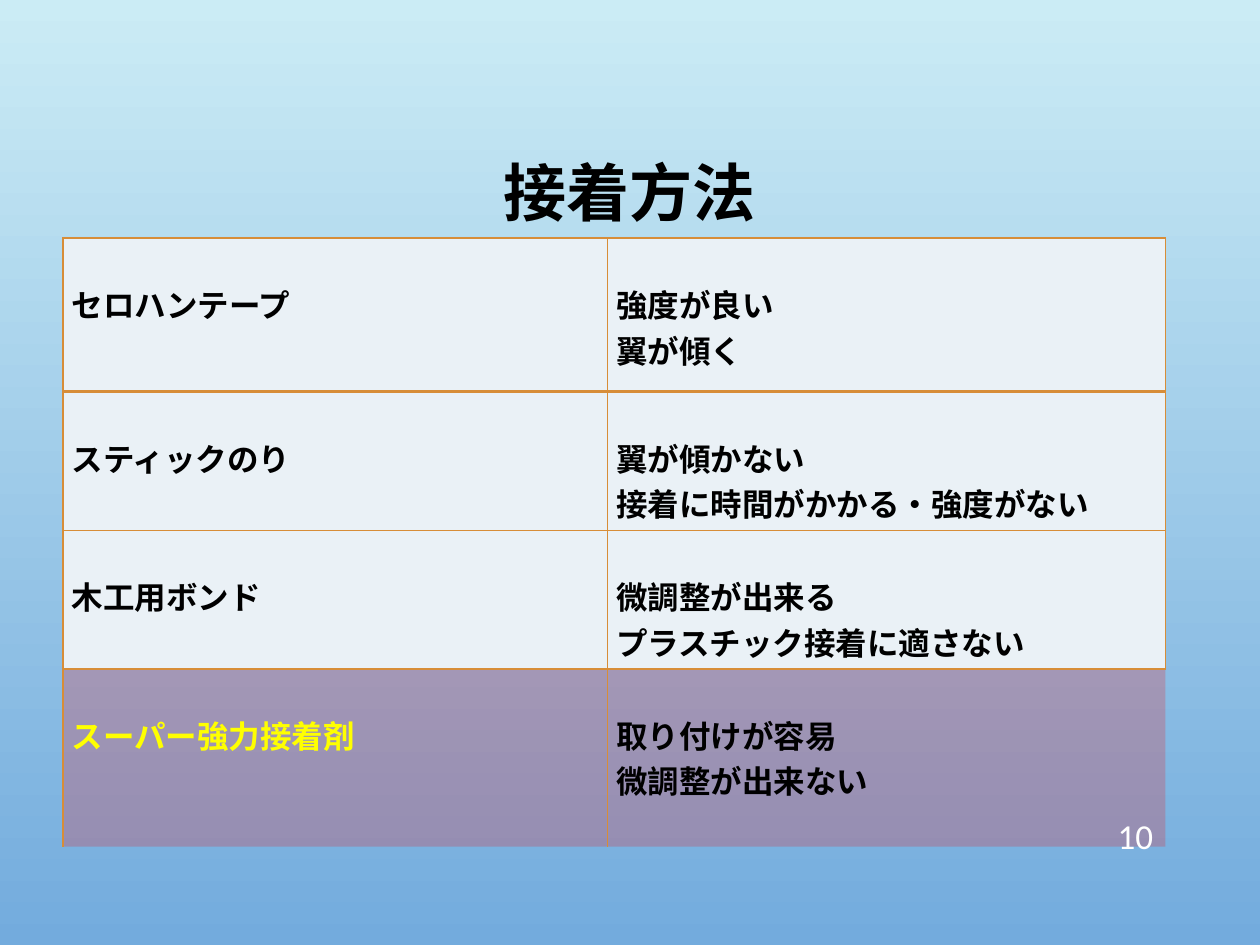
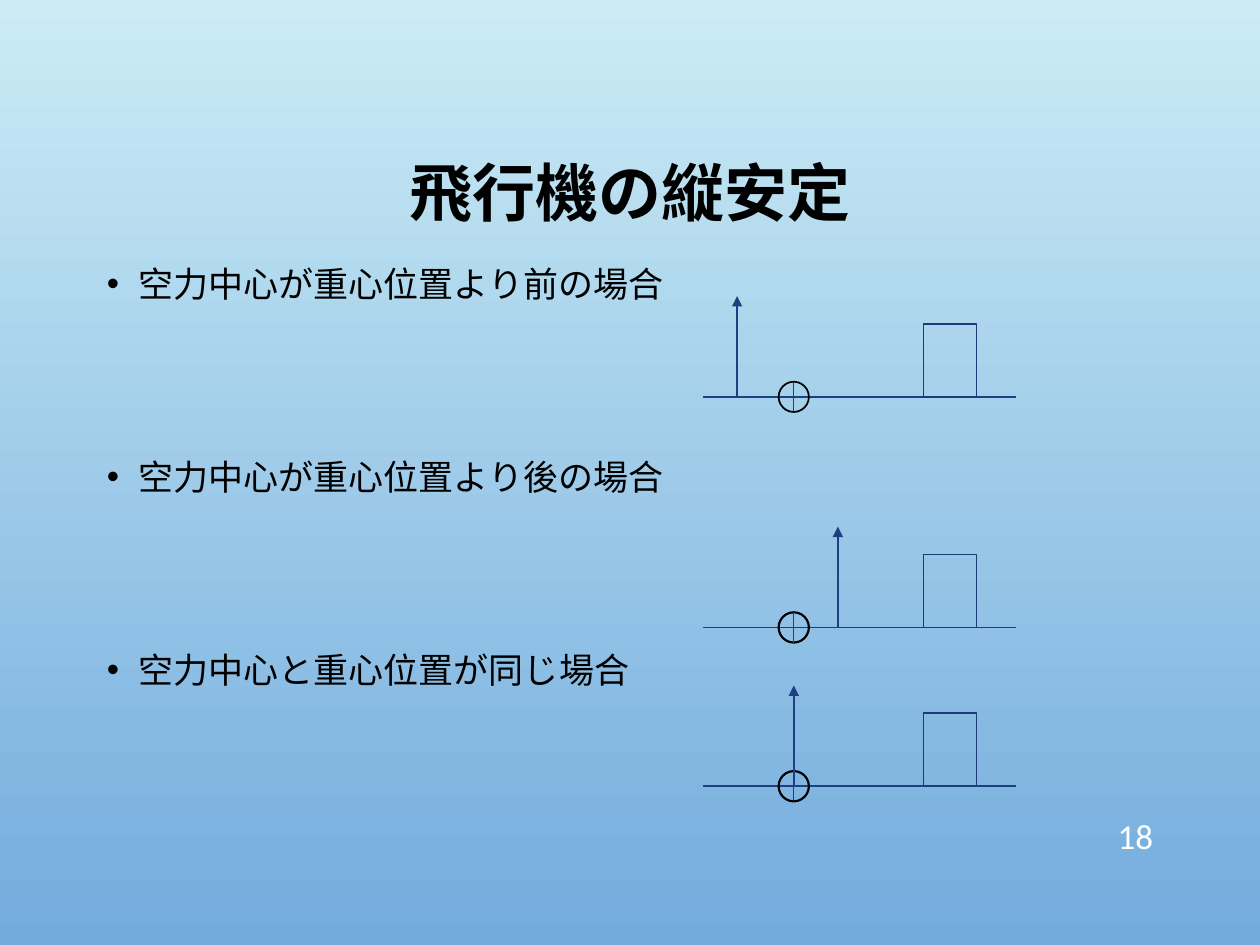
from dataclasses import dataclass

from lxml import etree
from pptx import Presentation
from pptx.dml.color import RGBColor
from pptx.enum.shapes import MSO_CONNECTOR, MSO_SHAPE
from pptx.enum.text import MSO_ANCHOR, PP_ALIGN
from pptx.oxml.ns import qn
from pptx.util import Inches, Pt

STRAIGHT = MSO_CONNECTOR.STRAIGHT
RECTANGLE = MSO_SHAPE.RECTANGLE
CIRCLE = MSO_SHAPE.FLOWCHART_CONNECTOR
MIDDLE, TOP = MSO_ANCHOR.MIDDLE, MSO_ANCHOR.TOP
LEFT, CENTER, RIGHT = PP_ALIGN.LEFT, PP_ALIGN.CENTER, PP_ALIGN.RIGHT


@dataclass(frozen=True)
class Theme:
    font: str = "Calibri"
    sky_top: str = "CBECF5"
    sky_bottom: str = "73ABDD"
    ink: str = "000000"
    page_number: str = "FFFFFF"
    highlight: str = "FFFF00"
    cell: str = "EAF1F6"
    chosen_cell: str = "FF0000"
    border: str = "D78D38"
    body_line: str = "1F3F83"
    tail_line: str = "1D3A79"
    title_size: int = 36
    text_size: int = 20
    table_size: int = 18


THEME = Theme()

ADHESIVES = [
    ("セロハンテープ", ["強度が良い", "翼が傾く"]),
    ("スティックのり", ["翼が傾かない", "接着に時間がかかる・強度がない"]),
    ("木工用ボンド", ["微調整が出来る", "プラスチック接着に適さない"]),
    ("スーパー強力接着剤", ["取り付けが容易", "微調整が出来ない"]),
]
STABILITY_CASES = [
    "空力中心が重心位置より前の場合",
    "空力中心が重心位置より後の場合",
    "空力中心と重心位置が同じ場合",
]
AIRCRAFT = [(3.15, 5.85, 1), (4.98, 6.65, 1.25), (6.24, 6.3, 1.25)]


def color(value):
    return RGBColor.from_string(value)


def add_run(paragraph, text, size, ink=THEME.ink, bold=False):
    run = paragraph.add_run()
    run.text = text
    run.font.name = THEME.font
    run.font.size = Pt(size)
    run.font.bold = bold
    run.font.color.rgb = color(ink)


def add_text_frame(slide, left, top, width, height, anchor):
    box = slide.shapes.add_textbox(
        Inches(left), Inches(top), Inches(width), Inches(height))
    box.text_frame.word_wrap = True
    box.text_frame.vertical_anchor = anchor
    return box.text_frame


def add_slide(presentation, title):
    slide = presentation.slides.add_slide(presentation.slide_layouts[6])
    fill = slide.background.fill
    fill.gradient()
    fill.gradient_angle = 270
    for stop, shade in zip(fill.gradient_stops, (THEME.sky_top, THEME.sky_bottom)):
        stop.color.rgb = color(shade)
    paragraph = add_text_frame(slide, 0.75, 0.68, 8.5, 1.75, MIDDLE).paragraphs[0]
    paragraph.alignment = CENTER
    paragraph.line_spacing = 0.9
    add_run(paragraph, title, THEME.title_size, bold=True)
    return slide


def add_page_number(slide, number):
    paragraph = add_text_frame(slide, 8.62, 6.43, 0.63, 0.4, MIDDLE).paragraphs[0]
    paragraph.alignment = RIGHT
    add_run(paragraph, number, THEME.text_size, THEME.page_number)


def set_border(cell, side, width):
    properties = cell._tc.get_or_add_tcPr()
    line = etree.SubElement(properties, qn(f"a:ln{side}"), w=str(Pt(width)))
    if width:
        fill = etree.SubElement(line, qn("a:solidFill"))
        etree.SubElement(fill, qn("a:srgbClr"), val=THEME.border)
    else:
        etree.SubElement(line, qn("a:noFill"))


def fill_cell(cell, lines, ink, borders, chosen):
    cell.margin_left = cell.margin_right = Inches(0.07)
    cell.margin_top, cell.margin_bottom = Inches(0.34), Inches(0.04)
    cell.vertical_anchor = TOP
    for side, width in borders.items():
        set_border(cell, side, width)
    cell.fill.solid()
    cell.fill.fore_color.rgb = color(THEME.chosen_cell if chosen else THEME.cell)
    if chosen:
        shade = cell._tc.tcPr.find(qn("a:solidFill")).find(qn("a:srgbClr"))
        etree.SubElement(shade, qn("a:alpha"), val="20000")
    frame = cell.text_frame
    for index, line in enumerate(lines):
        paragraph = frame.add_paragraph() if index else frame.paragraphs[0]
        paragraph.alignment = LEFT
        add_run(paragraph, line, THEME.table_size, ink, bold=True)


def add_adhesive_table(slide):
    widths, heights = (4.32, 4.43), (1.22, 1.1, 1.1, 1.41)
    table = slide.shapes.add_table(
        len(heights), len(widths), Inches(0.5), Inches(1.89),
        Inches(sum(widths)), Inches(sum(heights))).table
    table.first_row = table.horz_banding = False
    for column, width in zip(table.columns, widths):
        column.width = Inches(width)
    for row, height in zip(table.rows, heights):
        row.height = Inches(height)
    last = len(ADHESIVES) - 1
    for index, (adhesive, remarks) in enumerate(ADHESIVES):
        chosen = index == last
        for column, lines in enumerate(([adhesive], remarks)):
            borders = {
                "L": 1,
                "R": 0 if chosen and column == 1 else 1,
                "T": 2 if index == 1 else 1,
                "B": 0 if chosen else 2 if index == 0 else 1,
            }
            ink = THEME.highlight if chosen and column == 0 else THEME.ink
            fill_cell(table.cell(index, column), lines, ink, borders, chosen)


def add_bullets(slide, items):
    frame = add_text_frame(slide, 0.75, 1.97, 8.5, 4.42, TOP)
    for index, item in enumerate(items):
        paragraph = frame.add_paragraph() if index else frame.paragraphs[0]
        properties = paragraph._p.get_or_add_pPr()
        properties.set("marL", str(Inches(0.25)))
        properties.set("indent", str(-Inches(0.25)))
        etree.SubElement(properties, qn("a:buFont"), typeface="Arial")
        etree.SubElement(properties, qn("a:buChar"), char="•")
        paragraph.line_spacing = 1.2
        if index:
            paragraph.space_before = Pt(81.5)
        add_run(paragraph, item, THEME.text_size)


def add_line(slide, start, end, width=1.0, arrow=False):
    connector = slide.shapes.add_connector(
        STRAIGHT, *(Inches(value) for value in (*start, *end)))
    connector.line.color.rgb = color(THEME.body_line)
    connector.line.width = Pt(width)
    if arrow:
        etree.SubElement(connector.line._get_or_add_ln(), qn("a:tailEnd"), type="triangle")
    etree.SubElement(connector._element.spPr, qn("a:effectLst"))


def add_outline(slide, kind, left, top, width, height, ink, weight):
    shape = slide.shapes.add_shape(
        kind, Inches(left), Inches(top), Inches(width), Inches(height))
    shape.shadow.inherit = False
    shape.fill.background()
    shape.line.color.rgb = color(ink)
    shape.line.width = Pt(weight)


def add_aircraft(slide, axis, lift, circle_weight):
    gravity, radius = 6.3, 0.12
    add_line(slide, (5.58, axis), (8.06, axis))
    add_outline(slide, RECTANGLE, 7.33, axis - 0.58, 0.42, 0.58, THEME.tail_line, 1)
    add_outline(slide, CIRCLE, gravity - radius, axis - radius,
                2 * radius, 2 * radius, THEME.ink, circle_weight)
    add_line(slide, (lift, axis), (lift, axis - 0.8), arrow=True)
    add_line(slide, (gravity, axis + radius), (gravity, axis - radius), 0.75)


def main():
    presentation = Presentation()
    presentation.slide_width, presentation.slide_height = Inches(10), Inches(7.5)

    adhesive_slide = add_slide(presentation, "接着方法")
    add_adhesive_table(adhesive_slide)
    add_page_number(adhesive_slide, "10")

    stability_slide = add_slide(presentation, "飛行機の縦安定")
    add_bullets(stability_slide, STABILITY_CASES)
    add_page_number(stability_slide, "18")
    for axis, lift, circle_weight in AIRCRAFT:
        add_aircraft(stability_slide, axis, lift, circle_weight)

    presentation.save("out.pptx")


if __name__ == "__main__":
    main()
